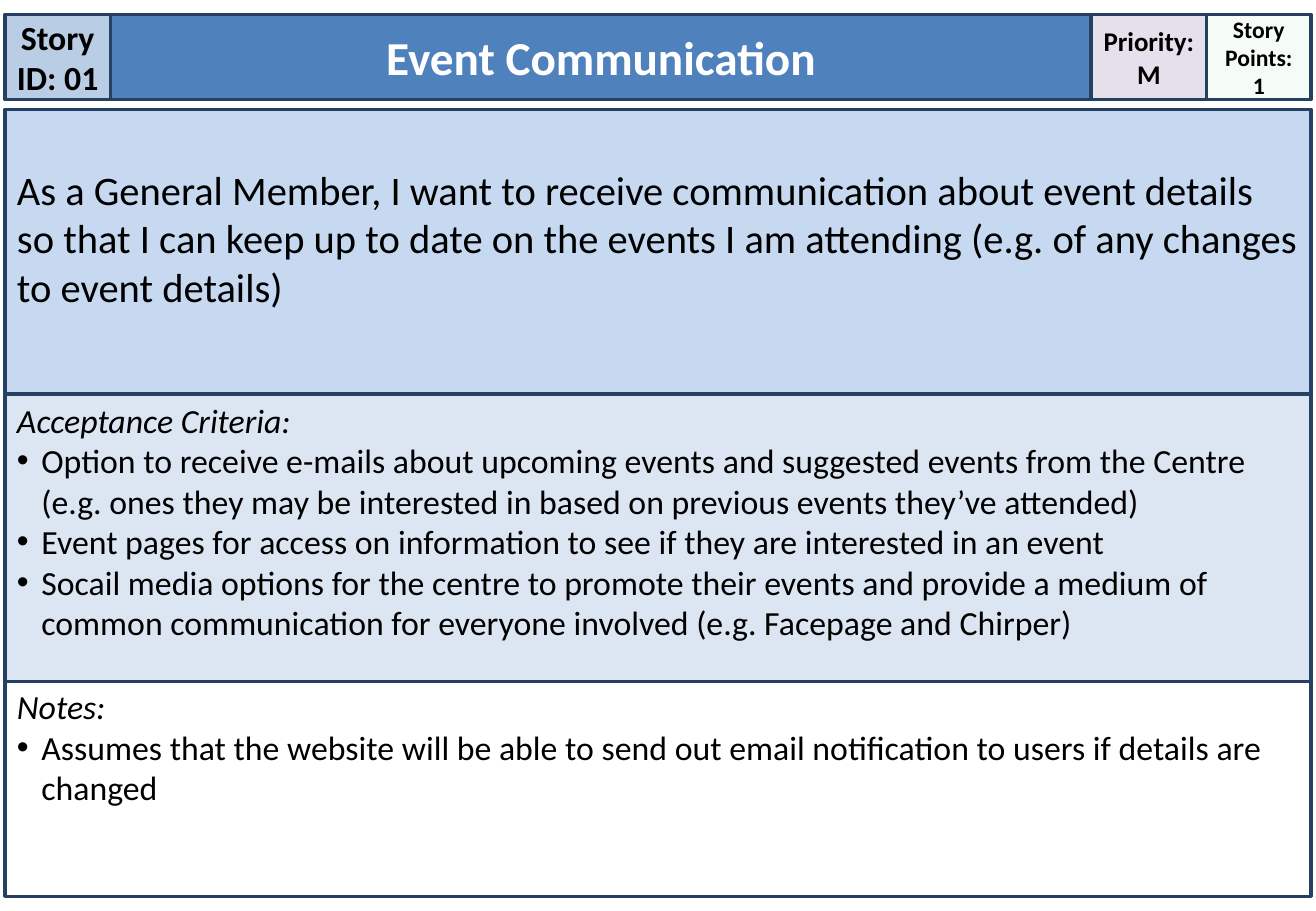
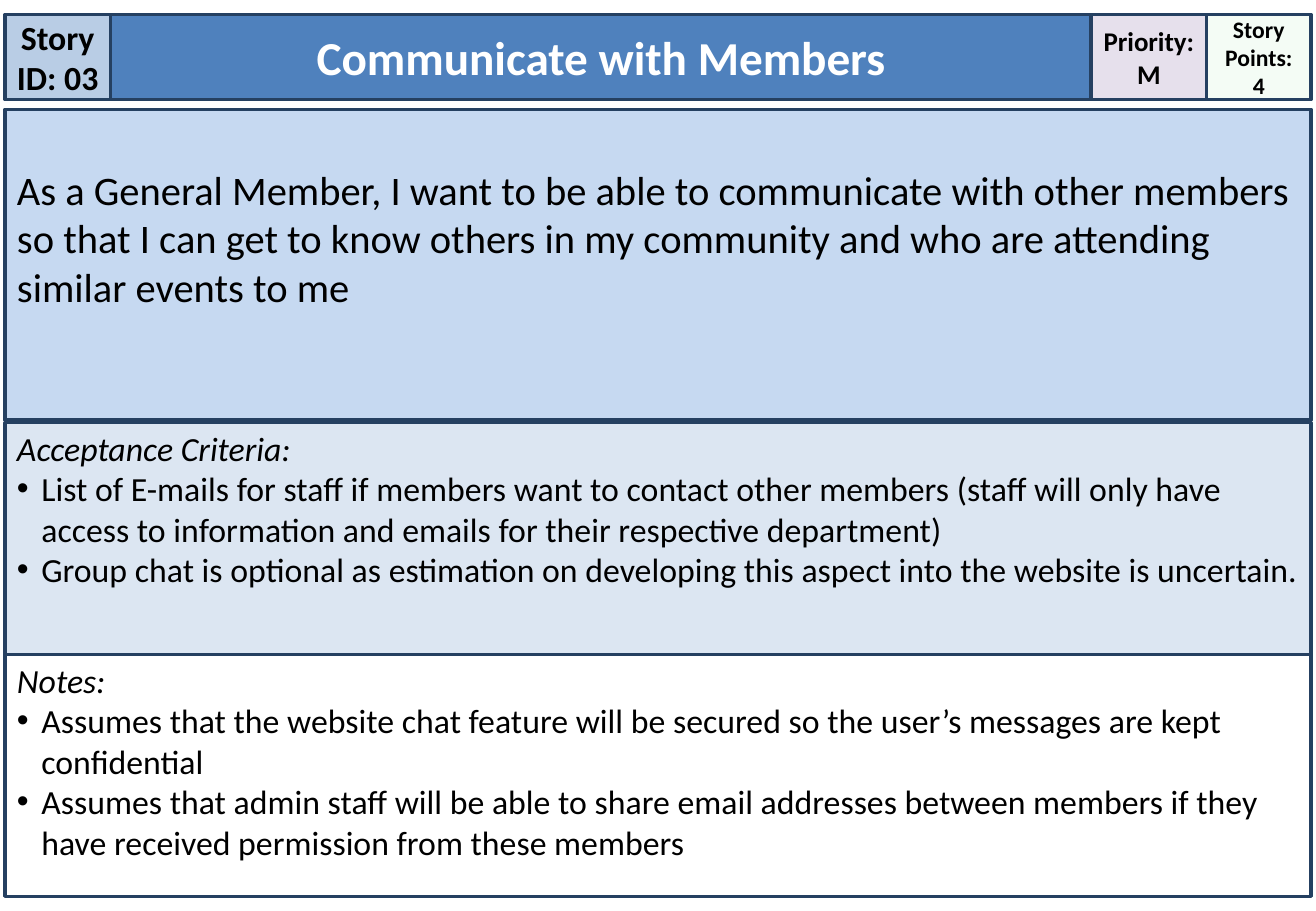
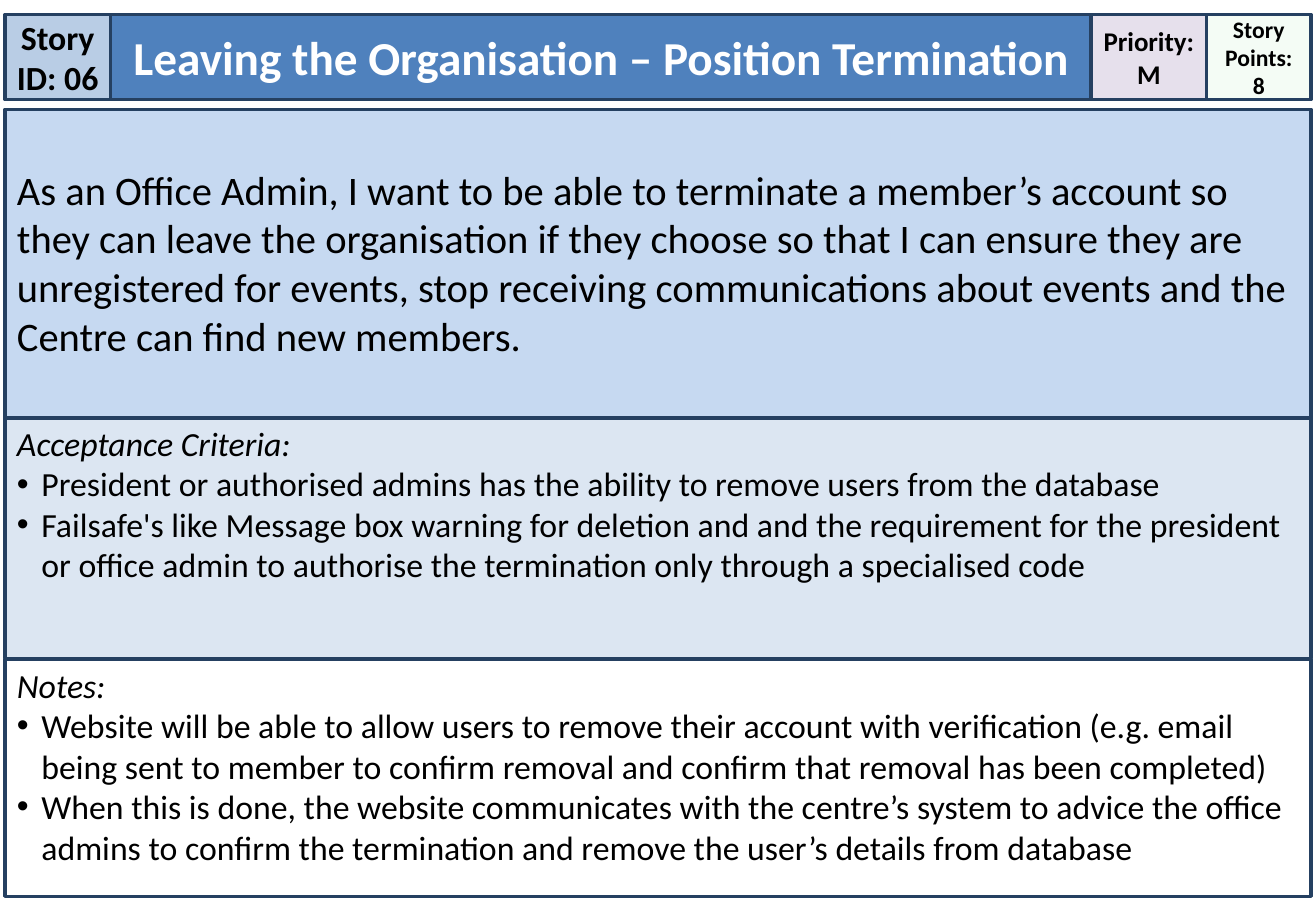
from lxml.etree import SubElement
from pptx import Presentation
from pptx.dml.color import RGBColor
from pptx.enum.shapes import MSO_SHAPE
from pptx.enum.text import MSO_ANCHOR, PP_ALIGN
from pptx.oxml.ns import qn
from pptx.util import Inches, Pt

NAVY = RGBColor(0x25, 0x40, 0x61)
BLUE = RGBColor(0x4F, 0x81, 0xBD)
STEEL = RGBColor(0xB9, 0xCD, 0xE5)
SKY = RGBColor(0xC6, 0xD9, 0xF1)
PALE = RGBColor(0xDC, 0xE6, 0xF2)
LILAC = RGBColor(0xE6, 0xE0, 0xEC)
GREEN = RGBColor(0xCC, 0xF0, 0xCD)
WHITE = RGBColor(0xFF, 0xFF, 0xFF)
BLACK = RGBColor(0, 0, 0)

COLUMNS = ROWS = 100
LEFT, RIGHT = 0.37, 99.63
ID_END, TITLE_END, PRIORITY_END = 8.4, 82.92, 91.69
HEADER_TOP, HEADER_END = 1.6, 10.93
STORY_TOP, CARD_END = 12, 98.4
SIDE, EDGE = 0.92, 0.67
INDENT = 1.85

STORIES = [
    {
        "number": "01",
        "title": "Event Communication",
        "points": "1",
        "story": "As a General Member, I want to receive communication about event "
                 "details so that I can keep up to date on the events I am attending "
                 "(e.g. of any changes to event details)",
        "criteria": [
            "Option to receive e-mails about upcoming events and suggested events from "
            "the Centre (e.g. ones they may be interested in based on previous events "
            "they’ve attended)",
            "Event pages for access on information to see if they are interested in an event",
            "Socail media options for the centre to promote their events and provide a "
            "medium of common communication for everyone involved (e.g. Facepage and Chirper)",
        ],
        "notes": [
            "Assumes that the website will be able to send out email notification to "
            "users if details are changed",
        ],
        "rows": (43.2, 43.33, 74.93, 74.8),
    },
    {
        "number": "03",
        "title": "Communicate with Members",
        "points": "4",
        "story": "As a General Member, I want to be able to communicate with other "
                 "members so that I can get to know others in my community and who are "
                 "attending similar events to me",
        "criteria": [
            "List of E-mails for staff if members want to contact other members (staff "
            "will only have access to information and emails for their respective department)",
            "Group chat is optional as estimation on developing this aspect into the "
            "website is uncertain.",
        ],
        "notes": [
            "Assumes that the website chat feature will be secured so the user’s "
            "messages are kept confidential",
            "Assumes that admin staff will be able to share email addresses between "
            "members if they have received permission from these members",
        ],
        "rows": (46.13, 46.4, 72.27, 71.87),
    },
    {
        "number": "06",
        "title": "Leaving the Organisation – Position Termination",
        "points": "8",
        "story": "As an Office Admin, I want to be able to terminate a member’s account "
                 "so they can leave the organisation if they choose so that I can ensure "
                 "they are unregistered for events, stop receiving communications about "
                 "events and the Centre can find new members.",
        "criteria": [
            "President or authorised admins has the ability to remove users from the database",
            "Failsafe's like Message box warning for deletion and and the requirement "
            "for the president or office admin to authorise the termination only "
            "through a specialised code",
        ],
        "notes": [
            "Website will be able to allow users to remove their account with "
            "verification (e.g. email being sent to member to confirm removal and "
            "confirm that removal has been completed)",
            "When this is done, the website communicates with the centre’s system to "
            "advice the office admins to confirm the termination and remove the user’s "
            "details from database",
        ],
        "rows": (46.13, 45.87, 72.27, 72.4),
    },
]


class StoryDeck:
    def __init__(self):
        self.prs = Presentation()
        self.prs.slide_width = Inches(10.83)
        self.prs.slide_height = Inches(7.5)
        self.s = None

    def x(self, columns):
        return round(self.prs.slide_width * columns / COLUMNS)

    def y(self, rows):
        return round(self.prs.slide_height * rows / ROWS)

    def new_slide(self):
        self.s = self.prs.slides.add_slide(self.prs.slide_layouts[6])

    def box(self, left, top, right, bottom, fill, side=SIDE, head=EDGE,
            anchor=MSO_ANCHOR.TOP, wrap=True):
        sp = self.s.shapes.add_shape(
            MSO_SHAPE.RECTANGLE, self.x(left), self.y(top),
            self.x(right - left), self.y(bottom - top))
        sp.shadow.inherit = False
        sp.fill.solid()
        sp.fill.fore_color.rgb = fill
        sp.line.color.rgb = NAVY
        sp.line.width = Pt(2)
        frame = {
            "margin_left": self.x(side), "margin_right": self.x(side),
            "margin_top": self.y(head), "margin_bottom": self.y(EDGE),
            "vertical_anchor": anchor, "word_wrap": wrap,
        }
        for name, value in frame.items():
            setattr(sp.text_frame, name, value)
        return sp

    def put_text(self, sp, lines, size, color=BLACK, align=PP_ALIGN.LEFT, bold=False):
        tf = sp.text_frame
        for i, text in enumerate(lines):
            p = tf.add_paragraph() if i else tf.paragraphs[0]
            p.alignment = align
            r = p.add_run()
            r.text = text
            r.font.color.rgb = color
            style = {"name": "Calibri", "size": Pt(size), "bold": bold}
            for name, value in style.items():
                setattr(r.font, name, value)

    def header_cell(self, left, right, fill, lines, size, color=BLACK, side=0, wrap=True):
        sp = self.box(left, HEADER_TOP, right, HEADER_END, fill, side,
                      anchor=MSO_ANCHOR.MIDDLE, wrap=wrap)
        self.put_text(sp, lines, size, color, PP_ALIGN.CENTER, True)
        return sp

    def fade(self, sp, percent):
        color = sp.element.spPr.find(qn("a:solidFill"))[0]
        SubElement(color, qn("a:alpha"), val=str(percent * 1000))

    def story(self, bottom, text):
        sp = self.box(LEFT, STORY_TOP, RIGHT, bottom, SKY, head=6.1)
        self.put_text(sp, [text], 24)

    def bullet_section(self, top, bottom, fill, heading, items):
        sp = self.box(LEFT, top, RIGHT, bottom, fill, head=0.53)
        self.put_text(sp, [heading, *items], 20)
        first, *rest = sp.text_frame.paragraphs
        first.runs[0].font.italic = True
        for p in rest:
            pPr = p._p.get_or_add_pPr()
            pPr.set("marL", str(self.x(INDENT)))
            pPr.set("indent", str(-self.x(INDENT)))
            SubElement(pPr, qn("a:buFont"), typeface="Arial")
            SubElement(pPr, qn("a:buChar"), char="•")

    def card(self, number, title, points, story, criteria, notes, rows):
        story_end, criteria_top, criteria_end, notes_top = rows
        self.new_slide()
        self.header_cell(LEFT, ID_END, STEEL, [f"Story ID: {number}"], 20)
        self.header_cell(ID_END, TITLE_END, BLUE, [title], 28, WHITE, SIDE)
        self.story(story_end, story)
        self.bullet_section(criteria_top, criteria_end, PALE, "Acceptance Criteria:", criteria)
        sp = self.header_cell(PRIORITY_END, RIGHT, GREEN, ["Story Points:", points], 14)
        self.fade(sp, 20)
        self.header_cell(TITLE_END, PRIORITY_END, LILAC, ["Priority:", "M"], 16, wrap=False)
        self.bullet_section(notes_top, CARD_END, WHITE, "Notes:", notes)


def main():
    deck = StoryDeck()
    for story in STORIES:
        deck.card(**story)
    deck.prs.save("out.pptx")


if __name__ == "__main__":
    main()
